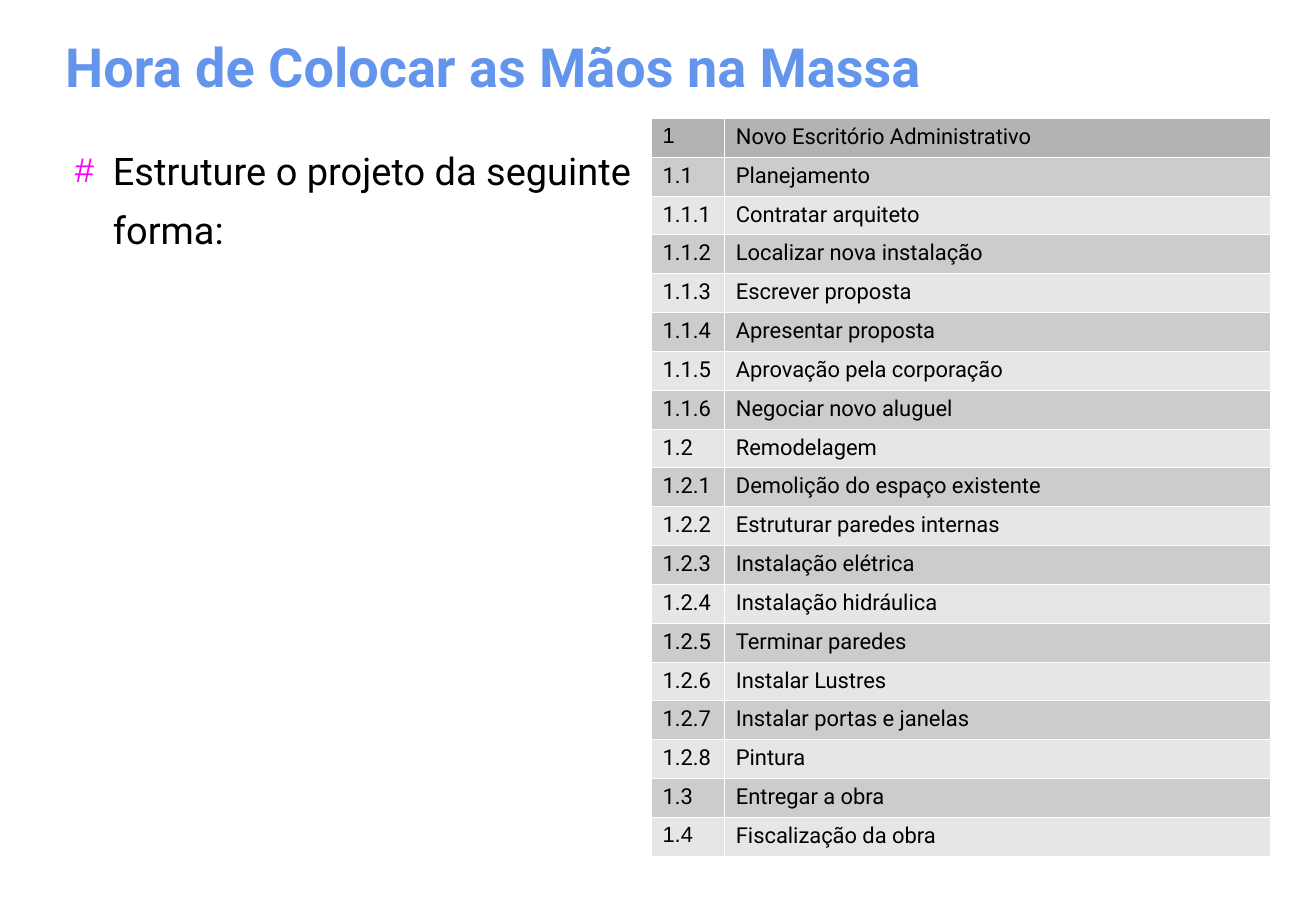
from lxml.etree import SubElement
from pptx import Presentation
from pptx.dml.color import RGBColor
from pptx.enum.text import MSO_ANCHOR
from pptx.oxml.ns import qn
from pptx.util import Pt

COLORS = {
    "title": "6495ED",
    "text": "000000",
    "bullet": "FF00FF",
    "header": "B3B3B3",
    "dark_band": "CCCCCC",
    "light_band": "E6E6E6",
    "border": "FFFFFF",
}
TASKS = [
    ("1", "Novo Escritório Administrativo"),
    ("1.1", "Planejamento"),
    ("1.1.1", "Contratar arquiteto"),
    ("1.1.2", "Localizar nova instalação"),
    ("1.1.3", "Escrever proposta"),
    ("1.1.4", "Apresentar proposta"),
    ("1.1.5", "Aprovação pela corporação"),
    ("1.1.6", "Negociar novo aluguel"),
    ("1.2", "Remodelagem"),
    ("1.2.1", "Demolição do espaço existente"),
    ("1.2.2", "Estruturar paredes internas"),
    ("1.2.3", "Instalação elétrica"),
    ("1.2.4", "Instalação hidráulica"),
    ("1.2.5", "Terminar paredes"),
    ("1.2.6", "Instalar Lustres"),
    ("1.2.7", "Instalar portas e janelas"),
    ("1.2.8", "Pintura"),
    ("1.3", "Entregar a obra"),
    ("1.4", "Fiscalização da obra"),
]
ARIAL_NUMBERS = ("1", "1.4")


def write(para, text, size, color="text", font="Roboto", bold=False):
    span = para.add_run()
    span.text = text
    span.font.size = Pt(size)
    span.font.name = font
    span.font.bold = bold
    span.font.color.rgb = RGBColor.from_string(COLORS[color])


def add_frame(page, box):
    frame = page.shapes.add_textbox(*(Pt(length) for length in box)).text_frame
    frame.word_wrap = True
    frame.margin_left = frame.margin_right = 0
    frame.margin_top = frame.margin_bottom = 0
    return frame


def add_bullet(para, symbol, indent, hanging):
    properties = para._p.get_or_add_pPr()
    properties.set("marL", str(Pt(indent)))
    properties.set("indent", str(-Pt(hanging)))
    color = SubElement(properties, qn("a:buClr"))
    SubElement(color, qn("a:srgbClr"), val=COLORS["bullet"])
    SubElement(properties, qn("a:buSzPct"), val="90000")
    SubElement(properties, qn("a:buFont"), typeface="Arial")
    SubElement(properties, qn("a:buChar"), char=symbol)


def add_borders(cell):
    properties = cell._tc.get_or_add_tcPr()
    for position, side in enumerate(("a:lnL", "a:lnR", "a:lnT", "a:lnB")):
        line = properties.makeelement(qn(side), {"w": str(Pt(0.06))})
        fill = SubElement(line, qn("a:solidFill"))
        SubElement(fill, qn("a:srgbClr"), val=COLORS["border"])
        # Borders come before the cell fill
        properties.insert(position, line)


def add_title(page, box):
    frame = add_frame(page, box)
    frame.vertical_anchor = MSO_ANCHOR.MIDDLE
    write(frame.paragraphs[0], "Hora de Colocar as Mãos na Massa", 32,
          color="title", bold=True)


def add_instruction(page, box):
    para = add_frame(page, box).paragraphs[0]
    add_bullet(para, "#", indent=28, hanging=22.5)
    para.line_spacing = 1.3
    write(para, "Estruture o projeto da seguinte forma:", 22.5)


def add_task_table(page, box):
    left, top, width, height = box
    graphic = page.shapes.add_table(len(TASKS), 2, Pt(left), Pt(top), Pt(width), Pt(height))
    table = graphic.table
    number_width = 43.5
    table.columns[0].width = Pt(number_width)
    table.columns[1].width = Pt(width - number_width)
    for index, task in enumerate(TASKS):
        table.rows[index].height = Pt(height / len(TASKS))
        band = "header" if index == 0 else "dark_band" if index % 2 else "light_band"
        for column, text in enumerate(task):
            cell = table.cell(index, column)
            cell.margin_left, cell.margin_right = Pt(7), Pt(6.5)
            cell.margin_top = cell.margin_bottom = Pt(3.6)
            cell.fill.solid()
            cell.fill.fore_color.rgb = RGBColor.from_string(COLORS[band])
            add_borders(cell)
            font = "Arial" if text in ARIAL_NUMBERS else "Roboto"
            write(cell.text_frame.paragraphs[0], text, 13, font=font)


def main():
    deck = Presentation()
    deck.slide_width, deck.slide_height = Pt(780.48), Pt(540)
    page = deck.slides.add_slide(deck.slide_layouts[6])
    # Heading
    add_title(page, (38.7, 20, 702, 38))
    # Instruction on the left
    add_instruction(page, (39, 79.5, 338.5, 68))
    # Work breakdown on the right
    add_task_table(page, (386, 70, 367, 23.04 * len(TASKS)))
    deck.save("out.pptx")


if __name__ == "__main__":
    main()
